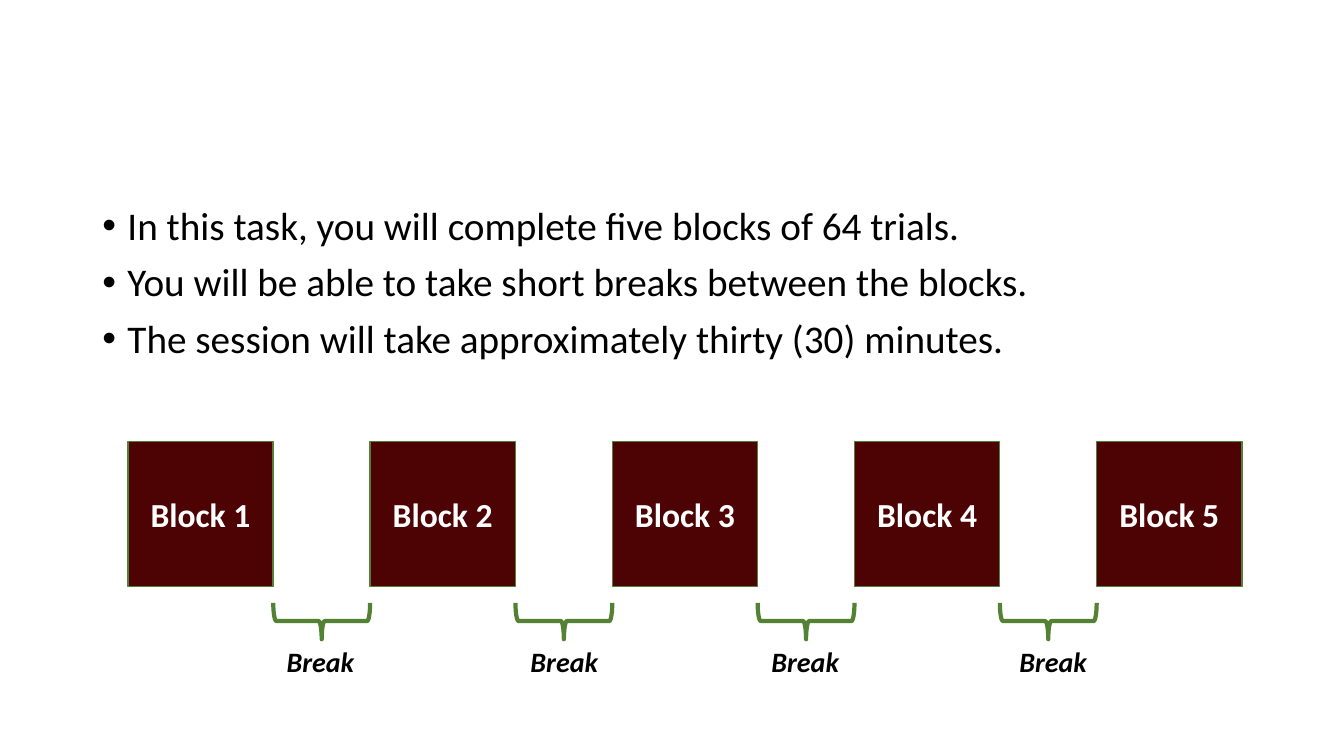
"""Build the task overview slide: five blocks of trials separated by breaks."""
from lxml.etree import SubElement
from pptx import Presentation
from pptx.dml.color import RGBColor as RGB
from pptx.enum.shapes import MSO_SHAPE as SHAPE
from pptx.enum.text import MSO_ANCHOR as ANCHOR, MSO_AUTO_SIZE as AUTO, PP_ALIGN as ALIGN
from pptx.oxml.ns import qn
from pptx.util import Pt

COLORS = {"block": "4D0303", "edge": "538035", "brace": "548235",
          "text": "000000", "white": "FFFFFF"}
POINTS = ["In this task, you will complete five blocks of 64 trials.",
          "You will be able to take short breaks between the blocks.",
          "The session will take approximately thirty (30) minutes."]
LEFT, TOP, SIZE, PITCH = 91.4, 315.4, 103.7, 173
BRACE_W, BRACE_H, BRACE_TOP = 26, 69.2, 409
LABEL_LEFTS = [194.4, 368.6, 540.7, 717.8]


def write(p, text, color, **formats):
    r = p.add_run()
    r.text = text
    r.font.color.rgb = RGB.from_string(COLORS[color])
    for name, value in {"name": "Calibri", **formats}.items():
        setattr(r.font, name, value)


def add_shape(kind, box, line, width):
    sp = s.shapes.add_shape(kind, *map(Pt, box))
    sp.shadow.inherit = False
    sp.line.color.rgb = RGB.from_string(COLORS[line])
    sp.line.width = Pt(width)
    return sp


prs = Presentation()
prs.slide_width, prs.slide_height = Pt(960), Pt(540)
s = prs.slides.add_slide(prs.slide_layouts[6])

tf = s.shapes.add_textbox(Pt(66), Pt(144), Pt(828), Pt(342.7)).text_frame
tf.word_wrap = True
for i, text in enumerate(POINTS):
    p = tf.add_paragraph() if i else tf.paragraphs[0]
    p.line_spacing, p.space_before = 0.9, Pt(10)
    pPr = p._p.get_or_add_pPr()
    pPr.set("marL", str(Pt(18)))
    pPr.set("indent", str(Pt(-18)))
    SubElement(pPr, qn("a:buFont"), typeface="Arial")
    SubElement(pPr, qn("a:buChar"), char="•")
    write(p, text, "text", size=Pt(28))

for i in range(5):
    sp = add_shape(SHAPE.RECTANGLE, (LEFT + i * PITCH, TOP, SIZE, SIZE), "edge", 1)
    sp.fill.solid()
    sp.fill.fore_color.rgb = RGB.from_string(COLORS["block"])
    tf = sp.text_frame
    tf.vertical_anchor = ANCHOR.MIDDLE
    p = tf.paragraphs[0]
    p.alignment = ALIGN.CENTER
    write(p, f"Block {i + 1}", "white", size=Pt(24), bold=True)

for i, label_left in enumerate(LABEL_LEFTS):
    center = LEFT + i * PITCH + (SIZE + PITCH) / 2
    box = (center - BRACE_W / 2, BRACE_TOP, BRACE_W, BRACE_H)
    sp = add_shape(SHAPE.RIGHT_BRACE, box, "brace", 3)
    sp.fill.background()
    sp.rotation = 90
    tf = s.shapes.add_textbox(Pt(label_left), Pt(456.5), Pt(69), Pt(31.5)).text_frame
    tf.word_wrap = True
    tf.auto_size = AUTO.SHAPE_TO_FIT_TEXT
    p = tf.paragraphs[0]
    p.alignment = ALIGN.CENTER
    write(p, "Break", "text", size=Pt(20), bold=True, italic=True)

prs.save("out.pptx")
